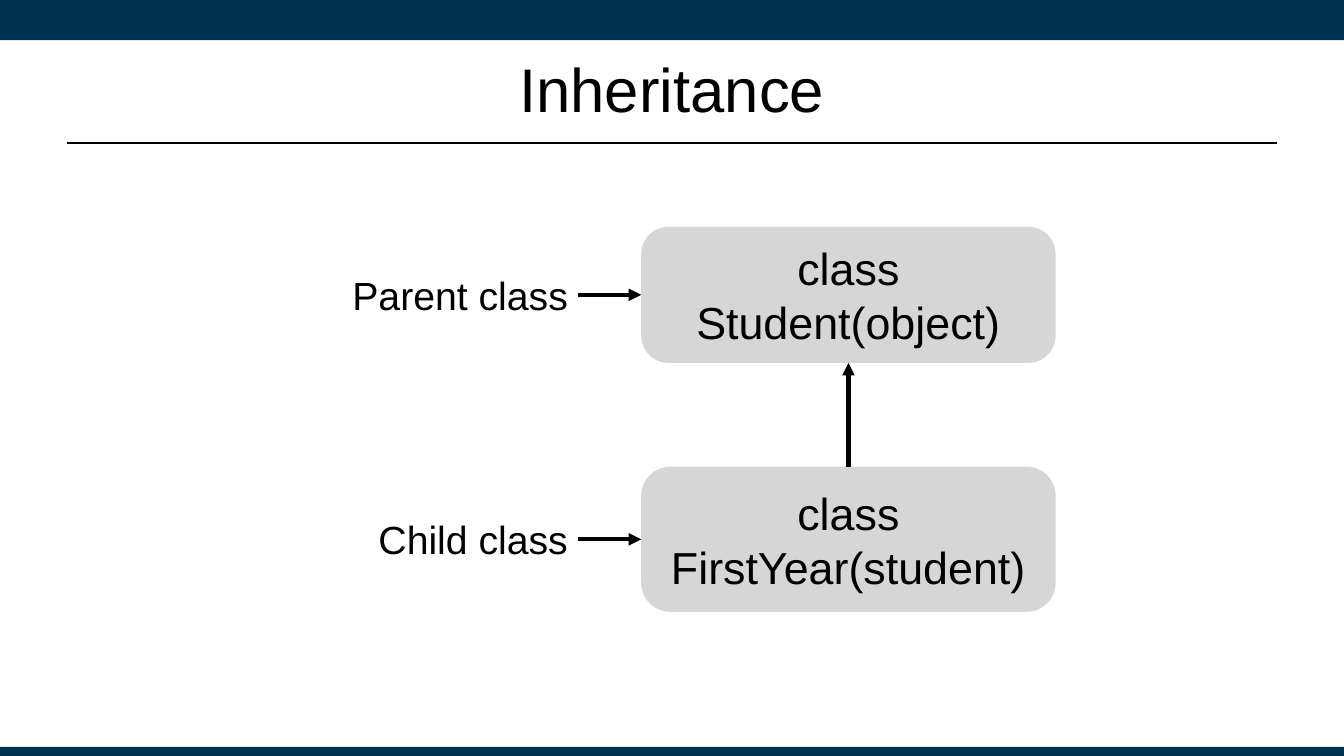
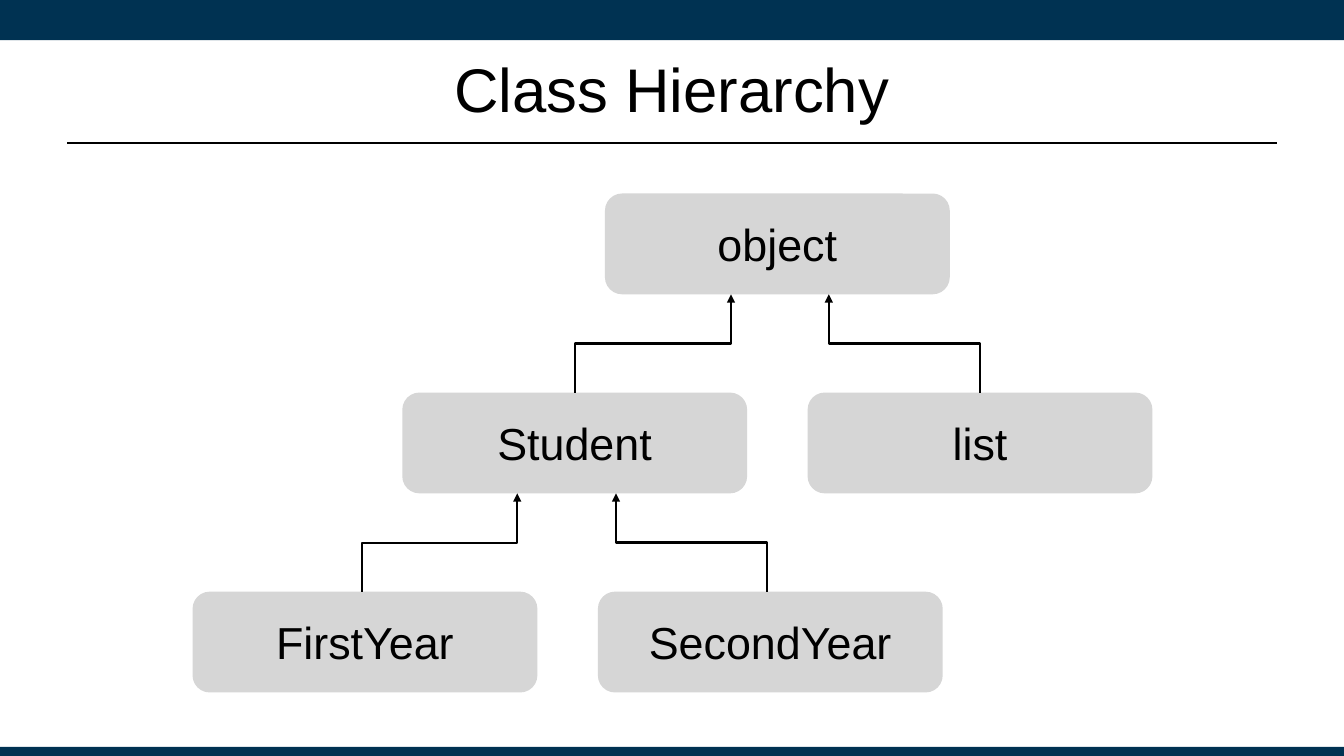
from dataclasses import dataclass

from lxml import etree
from pptx import Presentation
from pptx.dml.color import RGBColor
from pptx.enum.shapes import MSO_CONNECTOR, MSO_SHAPE
from pptx.enum.text import MSO_ANCHOR, PP_ALIGN
from pptx.oxml.ns import qn
from pptx.util import Inches, Pt

STRAIGHT, ELBOW = MSO_CONNECTOR.STRAIGHT, MSO_CONNECTOR.ELBOW
RECTANGLE, ROUNDED = MSO_SHAPE.RECTANGLE, MSO_SHAPE.ROUNDED_RECTANGLE
CENTER, RIGHT = PP_ALIGN.CENTER, PP_ALIGN.RIGHT
MIDDLE = MSO_ANCHOR.MIDDLE
QUARTER_TURN_LEFT = str(270 * 60000)


@dataclass(frozen=True)
class Theme:
    font: str = "Arial"
    ink: RGBColor = RGBColor(0, 0, 0)
    band: RGBColor = RGBColor(0x00, 0x32, 0x52)
    node: RGBColor = RGBColor(0xD6, 0xD6, 0xD6)
    title_size: int = 44
    node_size: int = 32
    label_size: int = 28
    rule_width: float = 1.25
    arrow_width: float = 3
    branch_width: float = 1.5


THEME = Theme()
WIDTH, HEIGHT = 13.33, 7.5
MARGIN = WIDTH / 20
BANDS = [(0, 0.4), (7.41, 0.09)]
TITLE_TOP, TITLE_HEIGHT, RULE_TOP = 0.25, 1.25, 1.42

INHERITANCE = {
    "title": "Inheritance",
    "classes": [
        ("Parent class", "class Student(object)", 2.25, 1.35),
        ("Child class", "class FirstYear(student)", 4.63, 1.44),
    ],
}
CLASS_LEFT, CLASS_WIDTH, CLASS_ROUNDING = 6.36, 4.11, 0.2
LABEL_LEFT, LABEL_WIDTH, LABEL_HEIGHT = 2.87, 2.86, 0.57

HIERARCHY = {
    "title": "Class Hierarchy",
    "classes": {
        "object": (0, 6),
        "Student": (1, 3.99),
        "list": (1, 8.01),
        "FirstYear": (2, 1.91),
        "SecondYear": (2, 5.93),
    },
    "branches": [
        ("Student", "object", 0, -0.46),
        ("list", "object", 0, 0.51),
        ("FirstYear", "Student", -0.03, -0.57),
        ("SecondYear", "Student", -0.03, 0.41),
    ],
}
LEVEL_TOP, LEVEL_PITCH = 1.92, 1.975
NODE_WIDTH, NODE_HEIGHT, NODE_ROUNDING = 3.42, 1, 0.17


def write(shape, text, size, align=CENTER):
    frame = shape.text_frame
    frame.word_wrap = True
    frame.vertical_anchor = MIDDLE
    frame.text = text
    paragraph = frame.paragraphs[0]
    paragraph.alignment = align
    paragraph.font.name = THEME.font
    paragraph.font.size = Pt(size)
    paragraph.font.color.rgb = THEME.ink


def add_text(slide, text, size, left, top, width, height, align=CENTER):
    box = slide.shapes.add_textbox(*map(Inches, (left, top, width, height)))
    write(box, text, size, align)


def add_block(slide, kind, color, left, top, width, height):
    block = slide.shapes.add_shape(kind, *map(Inches, (left, top, width, height)))
    block.shadow.inherit = False
    block.fill.solid()
    block.fill.fore_color.rgb = color
    block.line.fill.background()
    return block


def add_class(slide, text, left, top, width, height, rounding):
    block = add_block(slide, ROUNDED, THEME.node, left, top, width, height)
    block.adjustments[0] = rounding
    write(block, text, THEME.node_size)


def add_line(slide, kind, start, end, weight, arrow=True):
    line = slide.shapes.add_connector(kind, *map(Inches, (*start, *end)))
    line.line.color.rgb = THEME.ink
    line.line.width = Pt(weight)
    properties = line.element.spPr
    if arrow:
        etree.SubElement(properties.find(qn("a:ln")), qn("a:tailEnd"), type="triangle")
    etree.SubElement(properties, qn("a:effectLst"))
    return line


def add_branch(slide, start, end):
    center_x, center_y = (start[0] + end[0]) / 2, (start[1] + end[1]) / 2
    half_run, half_rise = (end[0] - start[0]) / 2, (start[1] - end[1]) / 2
    branch = add_line(
        slide, ELBOW,
        (center_x - half_rise, center_y - half_run),
        (center_x + half_rise, center_y + half_run),
        THEME.branch_width,
    )
    branch.element.spPr.find(qn("a:xfrm")).set("rot", QUARTER_TURN_LEFT)


def add_titled_slide(deck, title):
    slide = deck.slides.add_slide(deck.slide_layouts[6])
    for top, height in BANDS:
        add_block(slide, RECTANGLE, THEME.band, 0, top, WIDTH, height)
    add_line(slide, STRAIGHT, (MARGIN, RULE_TOP), (WIDTH - MARGIN, RULE_TOP),
             THEME.rule_width, arrow=False)
    add_text(slide, title, THEME.title_size,
             MARGIN, TITLE_TOP, WIDTH - 2 * MARGIN, TITLE_HEIGHT)
    return slide


def build_inheritance(deck):
    slide = add_titled_slide(deck, INHERITANCE["title"])
    for label, declaration, top, height in INHERITANCE["classes"]:
        middle = top + height / 2
        add_class(slide, declaration, CLASS_LEFT, top, CLASS_WIDTH, height, CLASS_ROUNDING)
        add_text(slide, label, THEME.label_size, LABEL_LEFT, middle - LABEL_HEIGHT / 2,
                 LABEL_WIDTH, LABEL_HEIGHT, RIGHT)
        add_line(slide, STRAIGHT, (LABEL_LEFT + LABEL_WIDTH, middle),
                 (CLASS_LEFT, middle), THEME.arrow_width)
    (_, _, parent_top, parent_height), (_, _, child_top, _) = INHERITANCE["classes"]
    center = CLASS_LEFT + CLASS_WIDTH / 2
    add_line(slide, STRAIGHT, (center, child_top),
             (center, parent_top + parent_height), THEME.arrow_width)


def build_hierarchy(deck):
    slide = add_titled_slide(deck, HIERARCHY["title"])
    places = {name: (left, LEVEL_TOP + level * LEVEL_PITCH)
              for name, (level, left) in HIERARCHY["classes"].items()}
    for name, (left, top) in places.items():
        add_class(slide, name, left, top, NODE_WIDTH, NODE_HEIGHT, NODE_ROUNDING)
    for child, parent, child_shift, parent_shift in HIERARCHY["branches"]:
        child_left, child_top = places[child]
        parent_left, parent_top = places[parent]
        add_branch(
            slide,
            (child_left + NODE_WIDTH / 2 + child_shift, child_top),
            (parent_left + NODE_WIDTH / 2 + parent_shift, parent_top + NODE_HEIGHT),
        )


def main():
    deck = Presentation()
    deck.slide_width, deck.slide_height = Inches(WIDTH), Inches(HEIGHT)
    build_inheritance(deck)
    build_hierarchy(deck)
    deck.save("out.pptx")


if __name__ == "__main__":
    main()
